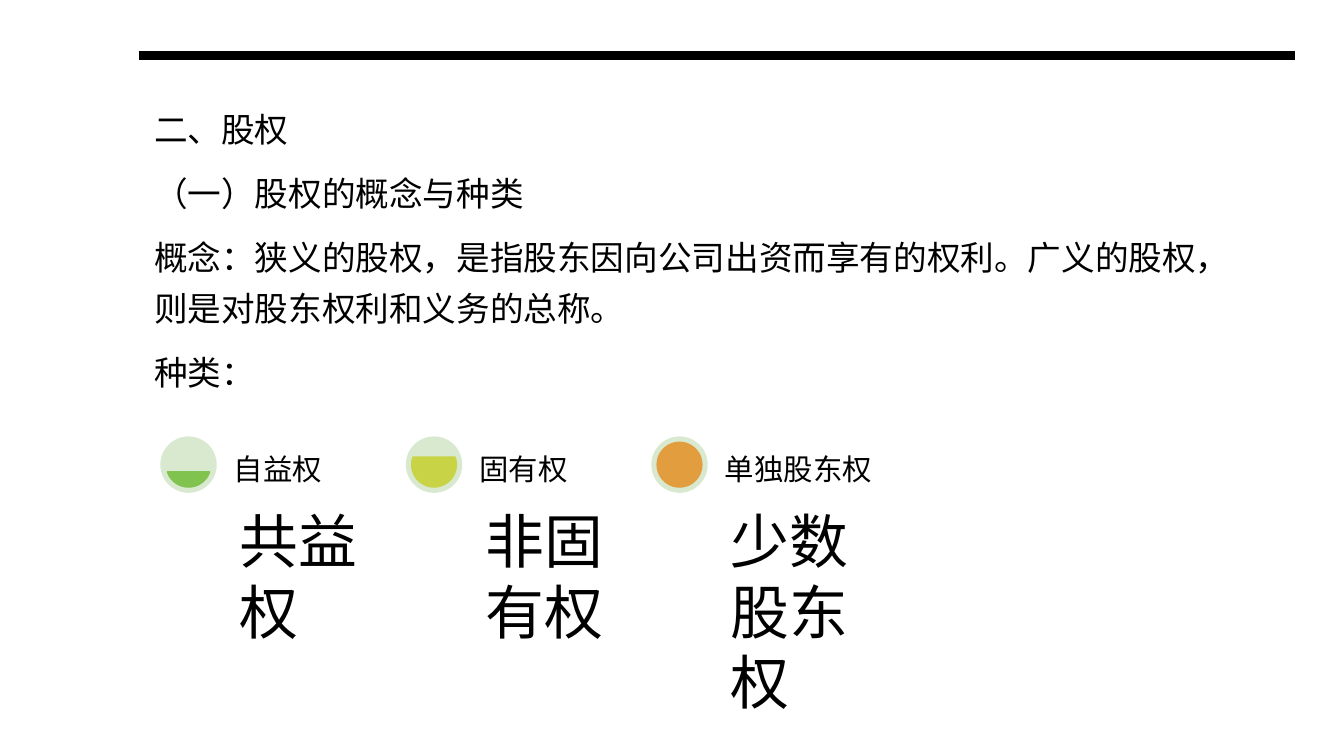
"""Build the slide on the concept and kinds of shareholder rights."""
from lxml import etree
from pptx import Presentation
from pptx.dml.color import RGBColor
from pptx.enum import shapes, text
from pptx.oxml import ns
from pptx.util import Inches, Pt

BLACK = RGBColor(0x00, 0x00, 0x00)
PALE_GREEN = RGBColor(0xD8, 0xE9, 0xD0)
GREEN = RGBColor(0x80, 0xC3, 0x4F)
LIME = RGBColor(0xC8, 0xD3, 0x46)
ORANGE = RGBColor(0xE2, 0x9D, 0x3E)

BODY_FONT = "Noto Sans CJK SC"
LABEL_FONT = "Calibri"

BODY = [
    "二、股权",
    "（一）股权的概念与种类",
    "概念：狭义的股权，是指股东因向公司出资而享有的权利。广义的股权，则是对股东权利和义务的总称。",
    "种类：",
]
KINDS = [
    ("自益权", "共益权", GREEN, (11.683, 96.317)),
    ("固有权", "非固有权", LIME, (204.317, 119.683)),
    ("单独股东权", "少数股东权", ORANGE, (162, 162)),
]

KINDS_LEFT, KINDS_TOP, KIND_STEP = 1.59, 4.33, 2.435
DISC, GAUGE = 0.56, 0.44
LABEL_OFFSET, LABEL_WIDTH, DETAIL_HEIGHT = 0.67, 1.65, 2.34


def add_text(slide, lines, box, *, size, font, anchor, margins, line_spacing=None, before=0):
    shape = slide.shapes.add_textbox(*map(Inches, box))
    frame = shape.text_frame
    frame.word_wrap = True
    frame.vertical_anchor = anchor
    frame.margin_left = frame.margin_right = Inches(margins[0])
    frame.margin_top = frame.margin_bottom = Inches(margins[1])
    for index, line in enumerate(lines):
        paragraph = frame.paragraphs[0] if index == 0 else frame.add_paragraph()
        paragraph.space_before = Pt(before)
        paragraph.line_spacing = line_spacing
        run = paragraph.add_run()
        run.text = line
        run.font.size = Pt(size)
        run.font.name = font
        run.font.color.rgb = BLACK
        properties = run._r.get_or_add_rPr()
        properties.set("lang", "zh-CN")
        etree.SubElement(properties, ns.qn("a:ea")).set("typeface", LABEL_FONT)


def add_round(slide, preset, left, top, size, color):
    shape = slide.shapes.add_shape(preset, Inches(left), Inches(top), Inches(size), Inches(size))
    shape.shadow.inherit = False
    shape.fill.solid()
    shape.fill.fore_color.rgb = color
    shape.line.fill.background()
    return shape


def add_kind(slide, left, label, detail, color, angles):
    inset = (DISC - GAUGE) / 2
    add_round(slide, shapes.MSO_SHAPE.OVAL, left, KINDS_TOP, DISC, PALE_GREEN)
    gauge = add_round(slide, shapes.MSO_SHAPE.CHORD, left + inset, KINDS_TOP + inset, GAUGE, color)
    gauge.adjustments[0], gauge.adjustments[1] = angles
    gauge.line.color.rgb = color
    gauge.line.width = Pt(1.25)
    label_left = left + LABEL_OFFSET
    add_text(slide, [detail], (label_left, KINDS_TOP + DISC, LABEL_WIDTH, DETAIL_HEIGHT),
             size=42, font=LABEL_FONT, anchor=text.MSO_ANCHOR.TOP, margins=(0.12, 0.12))
    add_text(slide, [label], (label_left, KINDS_TOP, LABEL_WIDTH, DISC),
             size=21, font=LABEL_FONT, anchor=text.MSO_ANCHOR.BOTTOM, margins=(0.06, 0.06))


def add_top_rule(slide):
    rule = slide.shapes.add_connector(shapes.MSO_CONNECTOR.STRAIGHT, Inches(1.38), Inches(0.55),
                                      Inches(12.84), Inches(0.55))
    rule.begin_x, rule.end_x = Inches(1.38), Inches(12.84)
    rule.line.color.rgb = BLACK
    rule.line.width = Pt(7)
    etree.SubElement(rule._element.spPr, ns.qn("a:effectLst"))


def main():
    presentation = Presentation()
    presentation.slide_width, presentation.slide_height = Inches(13.33), Inches(7.5)
    slide = presentation.slides.add_slide(presentation.slide_layouts[6])
    add_text(slide, BODY, (1.43, 0.88, 10.64, 3.11), size=24, font=BODY_FONT,
             anchor=text.MSO_ANCHOR.MIDDLE, margins=(0.1, 0.05), line_spacing=1.25, before=10)
    for index, kind in enumerate(KINDS):
        add_kind(slide, KINDS_LEFT + index * KIND_STEP, *kind)
    add_top_rule(slide)
    presentation.save("out.pptx")


if __name__ == "__main__":
    main()
